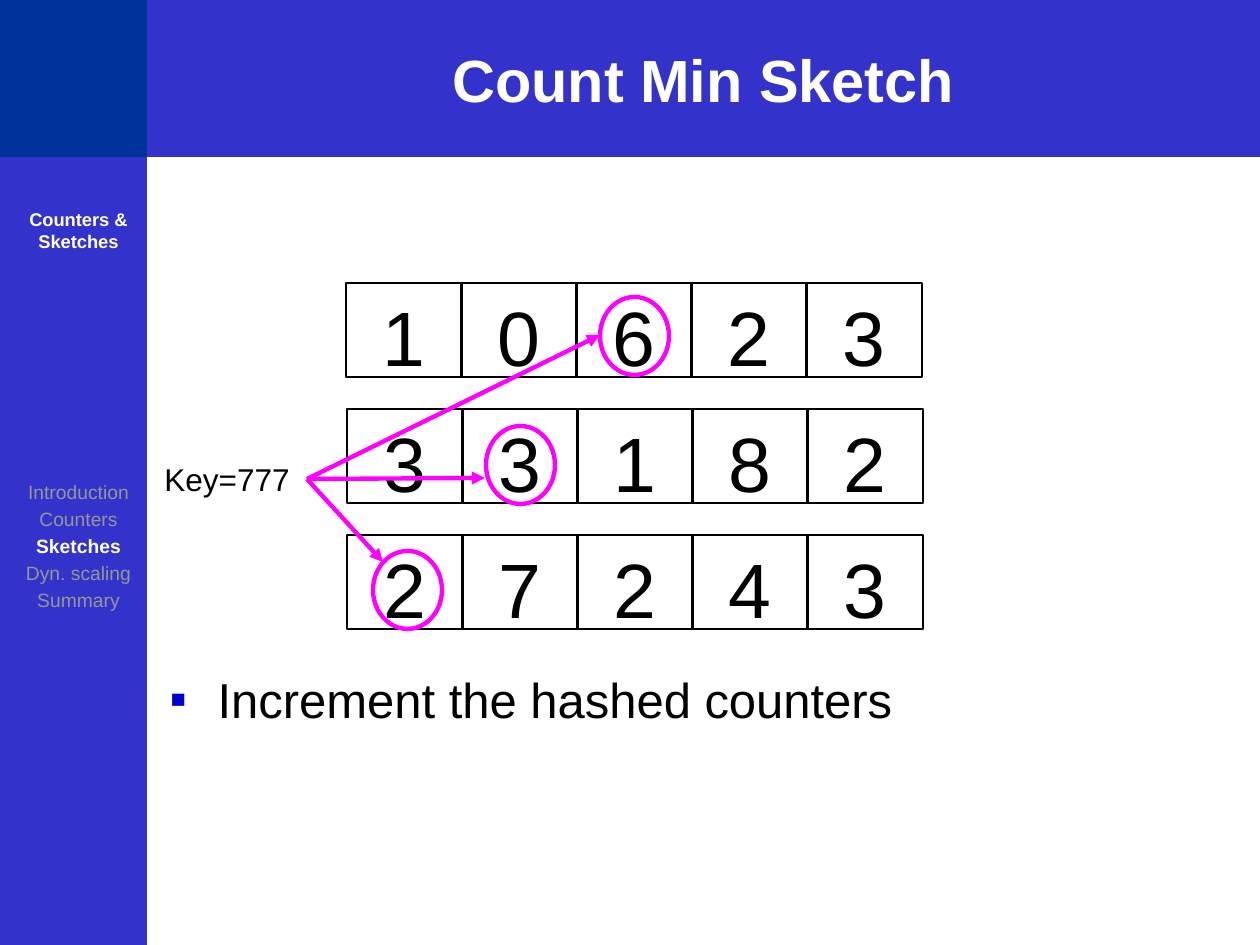
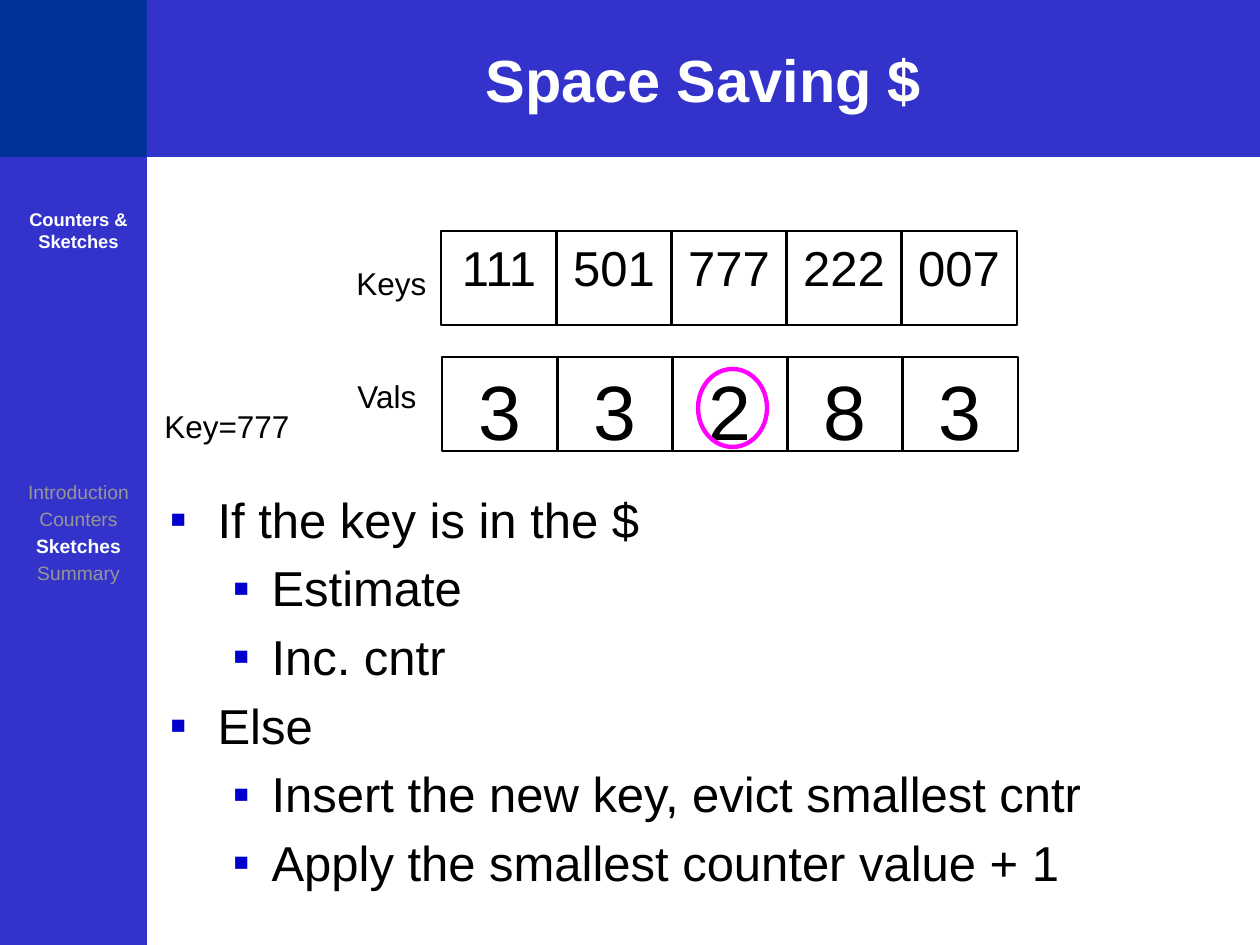
from lxml import etree
from pptx import Presentation
from pptx import util as u
from pptx.dml.color import RGBColor
from pptx.enum import shapes, text
from pptx.oxml.ns import qn

PX = 914400 / 126
BLUE = RGBColor(0x33, 0x33, 0xCC)
NAVY = RGBColor(0x00, 0x33, 0x99)
WHITE = RGBColor(0xFF, 0xFF, 0xFF)
BLACK = RGBColor(0x00, 0x00, 0x00)
GRAY = RGBColor(0x96, 0x96, 0x96)
PINK = RGBColor(0xFF, 0x00, 0xFF)
MARK = RGBColor(0x00, 0x00, 0xCC)

FONT = "Arial"
TOPIC = "Counters & Sketches"
NOW = "Sketches"
CELL = (116, 94)
RING = (69, 78)
INDENT = [(48, 48), (102, 39)]

SLIDES = [
    {
        "title": "Count Min Sketch",
        "menu": ["Introduction", "Counters", NOW, "Dyn. scaling", "Summary"],
        "rows": [
            (346, 283, 44, ["1", "0", "6", "2", "3"]),
            (347, 409, 44, ["3", "3", "1", "8", "2"]),
            (347, 535, 44, ["2", "7", "2", "4", "3"]),
        ],
        "tags": [],
        "key": (152, 454, 155, 50, "Key=777"),
        "rings": [(600, 297), (486, 426), (373, 551)],
        "tips": [(600, 335), (485, 478), (383, 562)],
        "body": (663, 73),
        "list": [(0, "Increment the hashed counters")],
    },
    {
        "title": "Space Saving $",
        "menu": ["Introduction", "Counters", NOW, "Summary"],
        "rows": [
            (441, 231, 28, ["111", "501", "777", "222", "007"]),
            (442, 357, 44, ["3", "3", "2", "8", "3"]),
        ],
        "tags": [(344, 258, 96, 50, "Keys"), (345, 371, 84, 50, "Vals")],
        "key": (152, 401, 151, 50, "Key=777"),
        "rings": [(698, 369)],
        "tips": [],
        "body": (483, 292),
        "list": [
            (0, "If the key is in the $"),
            (1, "Estimate"),
            (1, "Inc. cntr"),
            (0, "Else"),
            (1, "Insert the new key, evict smallest cntr"),
            (1, "Apply the smallest counter value + 1"),
        ],
    },
]


def px(*nums):
    return [u.Emu(round(n * PX)) for n in nums]


def place(shape, *box):
    shape.left, shape.top, shape.width, shape.height = px(*box)


def style(para, size, color, bold=False, align=text.PP_ALIGN.LEFT, gap=0):
    para.font.name = FONT
    para.font.size = u.Pt(size)
    para.font.color.rgb = color
    para.font.bold = bold
    para.alignment = align
    para.space_before = u.Pt(gap)


def draw(slide, kind, box, fill=None, line=None, width=1.5):
    shape = slide.shapes.add_shape(kind, *px(*box))
    shape.shadow.inherit = False
    if fill is None:
        shape.fill.background()
    else:
        shape.fill.solid()
        shape.fill.fore_color.rgb = fill
    if line is None:
        shape.line.fill.background()
    else:
        shape.line.color.rgb = line
        shape.line.width = u.Pt(width)
    return shape


def label(slide, box, words, wrap=False):
    shape = slide.shapes.add_textbox(*px(*box))
    shape.text_frame.word_wrap = wrap
    shape.text_frame.text = words
    return shape


def frame(prs, slide):
    kind = shapes.MSO_SHAPE.RECTANGLE
    bands = [draw(slide, kind, (0, 157, 147, 788), BLUE),
             draw(slide, kind, (0, 0, 147, 157), NAVY)]
    tree = prs.slide_master.shapes[0].element.getparent()
    for spot, band in enumerate(bands, 2):
        tree.insert(spot, band.element)


def head(slide, words):
    title = slide.shapes.title
    place(title, 147, 0, 1113, 157)
    title.fill.solid()
    title.fill.fore_color.rgb = BLUE
    tf = title.text_frame
    tf.text = words
    tf.auto_size = text.MSO_AUTO_SIZE.NONE
    tf.vertical_anchor = text.MSO_ANCHOR.MIDDLE
    style(tf.paragraphs[0], 34, WHITE, True, text.PP_ALIGN.CENTER)


def side(slide, menu):
    mid = text.PP_ALIGN.CENTER
    topic = label(slide, (0, 202, 157, 208), TOPIC, True)
    style(topic.text_frame.paragraphs[0], 10.5, WHITE, True, mid, 2.1)
    nav = label(slide, (0, 474, 157, 157), "\n".join(menu), True)
    for para in nav.text_frame.paragraphs:
        on = para.text == NOW
        style(para, 11, WHITE if on else GRAY, on, mid, 2.2)


def bullet(para, level):
    props = para._p.get_or_add_pPr()
    left, hang = px(*INDENT[level])
    props.set("marL", str(left))
    props.set("indent", str(-hang))
    tint = etree.SubElement(props, qn("a:buClr"))
    etree.SubElement(tint, qn("a:srgbClr"), val=str(MARK))
    etree.SubElement(props, qn("a:buFont"), typeface=FONT)
    etree.SubElement(props, qn("a:buChar"), char="▪")


def fill_list(slide, top, high, items):
    body = slide.placeholders[1]
    place(body, 157, top, 1061, high)
    tf = body.text_frame
    tf.text = "\n".join(words for _, words in items)
    tf.auto_size = text.MSO_AUTO_SIZE.NONE
    for para, (level, _) in zip(tf.paragraphs, items):
        para.level = level
        style(para, 28, BLACK, gap=5.6)
        bullet(para, level)


def row(slide, left, top, size, vals):
    wide, high = CELL
    for i, val in enumerate(vals):
        box = (left + i * (wide - 1), top, wide, high)
        cell = draw(slide, shapes.MSO_SHAPE.RECTANGLE, box, line=BLACK)
        tf = cell.text_frame
        tf.vertical_anchor = text.MSO_ANCHOR.TOP
        tf.text = val
        style(tf.paragraphs[0], size, BLACK, align=text.PP_ALIGN.CENTER)


def arrow(slide, start, tip):
    link = slide.shapes.add_connector(
        shapes.MSO_CONNECTOR.STRAIGHT, *px(0, 0, *tip))
    link.begin_connect(start, 3)
    link.line.color.rgb = PINK
    link.line.width = u.Pt(2.5)
    etree.SubElement(link.line._get_or_add_ln(), qn("a:tailEnd"), type="triangle")
    etree.SubElement(link._element.spPr, qn("a:effectLst"))


def build(slide, data):
    head(slide, data["title"])
    side(slide, data["menu"])
    fill_list(slide, *data["body"], data["list"])
    for item in data["rows"]:
        row(slide, *item)
    for *box, words in data["tags"] + [data["key"]]:
        tag = label(slide, box, words)
        style(tag.text_frame.paragraphs[0], 18, BLACK)
    for tip in data["tips"]:
        arrow(slide, tag, tip)
    for spot in data["rings"]:
        draw(slide, shapes.MSO_SHAPE.OVAL, spot + RING, line=PINK, width=2.5)


def main():
    prs = Presentation()
    prs.slide_width, prs.slide_height = px(1260, 945)
    for i, data in enumerate(SLIDES):
        slide = prs.slides.add_slide(prs.slide_layouts[1])
        if i == 0:
            frame(prs, slide)
        build(slide, data)
    prs.save("out.pptx")


if __name__ == "__main__":
    main()
